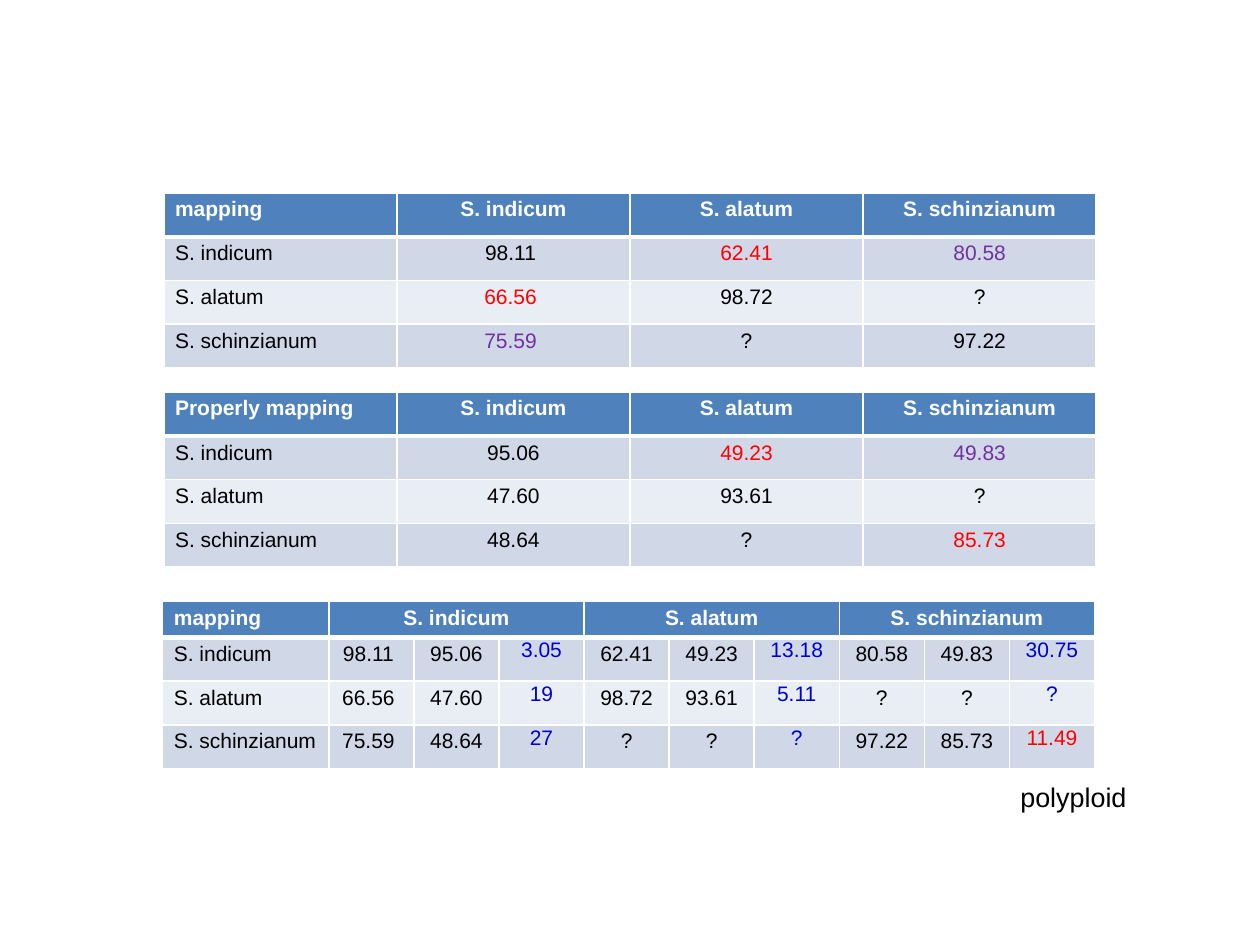
"""Build a slide with three tables of read mapping rates between Sesamum species."""
import dataclasses

import lxml.etree
import pptx
import pptx.dml.color
import pptx.enum.text
import pptx.oxml.ns
import pptx.util

Inches = pptx.util.Inches


@dataclasses.dataclass(frozen=True)
class Theme:
    font: str = "Arial"
    table_size: float = 12
    note_size: float = 15.4
    header: str = "4F81BD"
    bands: tuple = ("D0D8E8", "E9EDF4")
    white: str = "FFFFFF"
    black: str = "000000"
    red: str = "FF0000"
    purple: str = "7030A0"
    blue: str = "0000CC"
    thin_border: float = 1
    thick_border: float = 3
    insets: tuple = (0.09, 0.04, 0.09, 0.04)
    tight_insets: tuple = (0.01, 0.01, 0.01, 0)


THEME = Theme()
SPECIES = ["S. indicum", "S. alatum", "S. schinzianum"]
MAPPING = [["98.11 ", "62.41", "80.58"], ["66.56 ", "98.72", "?"], ["75.59 ", "?", "97.22"]]
PROPER = [["95.06", "49.23", "49.83"], ["47.60", "93.61", "?"], ["48.64", "?", "85.73"]]
DIFFERENCE = [["3.05", "13.18", "30.75"], ["19", "5.11", "?"], ["27", "?", "11.49"]]


def rgb(value):
    return pptx.dml.color.RGBColor.from_string(value)


def set_font(paragraph, size, color, bold=False):
    for run in paragraph.runs:
        run.font.name = THEME.font
        run.font.size = pptx.util.Pt(size)
        run.font.bold = bold
        run.font.color.rgb = rgb(color)


def set_borders(cell, row):
    widths = {"lnL": THEME.thin_border, "lnR": THEME.thin_border,
              "lnT": THEME.thick_border if row == 1 else THEME.thin_border,
              "lnB": THEME.thick_border if row == 0 else THEME.thin_border}
    properties = cell._tc.get_or_add_tcPr()
    qualify = pptx.oxml.ns.qn
    for name, width in widths.items():
        line = lxml.etree.SubElement(properties, qualify(f"a:{name}"), w=str(pptx.util.Pt(width)))
        fill = lxml.etree.SubElement(line, qualify("a:solidFill"))
        lxml.etree.SubElement(fill, qualify("a:srgbClr"), val=THEME.white)


def format_cell(cell, text, row, column, color, insets):
    cell.text_frame.text = text
    sides = [Inches(inset) for inset in insets]
    cell.margin_left, cell.margin_top, cell.margin_right, cell.margin_bottom = sides
    set_borders(cell, row)
    cell.fill.solid()
    cell.fill.fore_color.rgb = rgb(THEME.bands[(row - 1) % 2] if row else THEME.header)
    paragraph = cell.text_frame.paragraphs[0]
    if column:
        paragraph.alignment = pptx.enum.text.PP_ALIGN.CENTER
    set_font(paragraph, THEME.table_size, color, bold=row == 0)


def add_rate_table(slide, box, widths, header_height, title, groups, colors, tight=()):
    """Add a table with one merged header per species over its group of values."""
    left, top, width, height = box
    span = len(groups)
    rows = [[title] + [text for name in SPECIES for text in [name] + [""] * (span - 1)]]
    for index, name in enumerate(SPECIES):
        rows.append([name] + [value for values in zip(*(group[index] for group in groups))
                              for value in values])
    frame = slide.shapes.add_table(len(rows), len(rows[0]), *map(Inches, box))
    table = frame.table
    for column, column_width in zip(table.columns, widths):
        column.width = Inches(column_width)
    for index, row in enumerate(table.rows):
        row.height = Inches((height - header_height) / len(SPECIES) if index else header_height)
    for row, texts in enumerate(rows):
        for column, text in enumerate(texts):
            default = THEME.black if row else THEME.white
            is_tight = row > 0 and column in tight
            if is_tight:
                default = THEME.blue
            format_cell(table.cell(row, column), text, row, column,
                        colors.get((row, column), default),
                        THEME.tight_insets if is_tight else THEME.insets)
    if span > 1:
        for start in range(1, len(rows[0]), span):
            table.cell(0, start).merge(table.cell(0, start + span - 1))


def add_note(slide, box, text):
    text_box = slide.shapes.add_textbox(*map(Inches, box))
    text_box.text_frame.word_wrap = False
    text_box.text_frame.auto_size = pptx.enum.text.MSO_AUTO_SIZE.SHAPE_TO_FIT_TEXT
    text_box.text_frame.text = text
    set_font(text_box.text_frame.paragraphs[0], THEME.note_size, THEME.black)


def main():
    presentation = pptx.Presentation()
    presentation.slide_width, presentation.slide_height = Inches(10), Inches(7.5)
    slide = presentation.slides.add_slide(presentation.slide_layouts[6])
    even_widths = [1.85] * 4
    add_rate_table(slide, (1.3, 1.53, 7.4, 1.39), even_widths, 0.35, "mapping", [MAPPING],
                   {(1, 2): THEME.red, (2, 1): THEME.red,
                    (1, 3): THEME.purple, (3, 1): THEME.purple})
    add_rate_table(slide, (1.3, 3.11, 7.4, 1.39), even_widths, 0.35, "Properly mapping", [PROPER],
                   {(1, 2): THEME.red, (1, 3): THEME.purple, (3, 3): THEME.red})
    add_rate_table(slide, (1.29, 4.77, 7.4, 1.33), [1.32] + [(7.4 - 1.32) / 9] * 9, 0.29,
                   "mapping", [MAPPING, PROPER, DIFFERENCE], {(3, 9): THEME.red}, tight=(3, 6, 9))
    add_note(slide, (8, 6.15, 1.05, 0.36), "polyploid")
    presentation.save("out.pptx")


if __name__ == "__main__":
    main()
